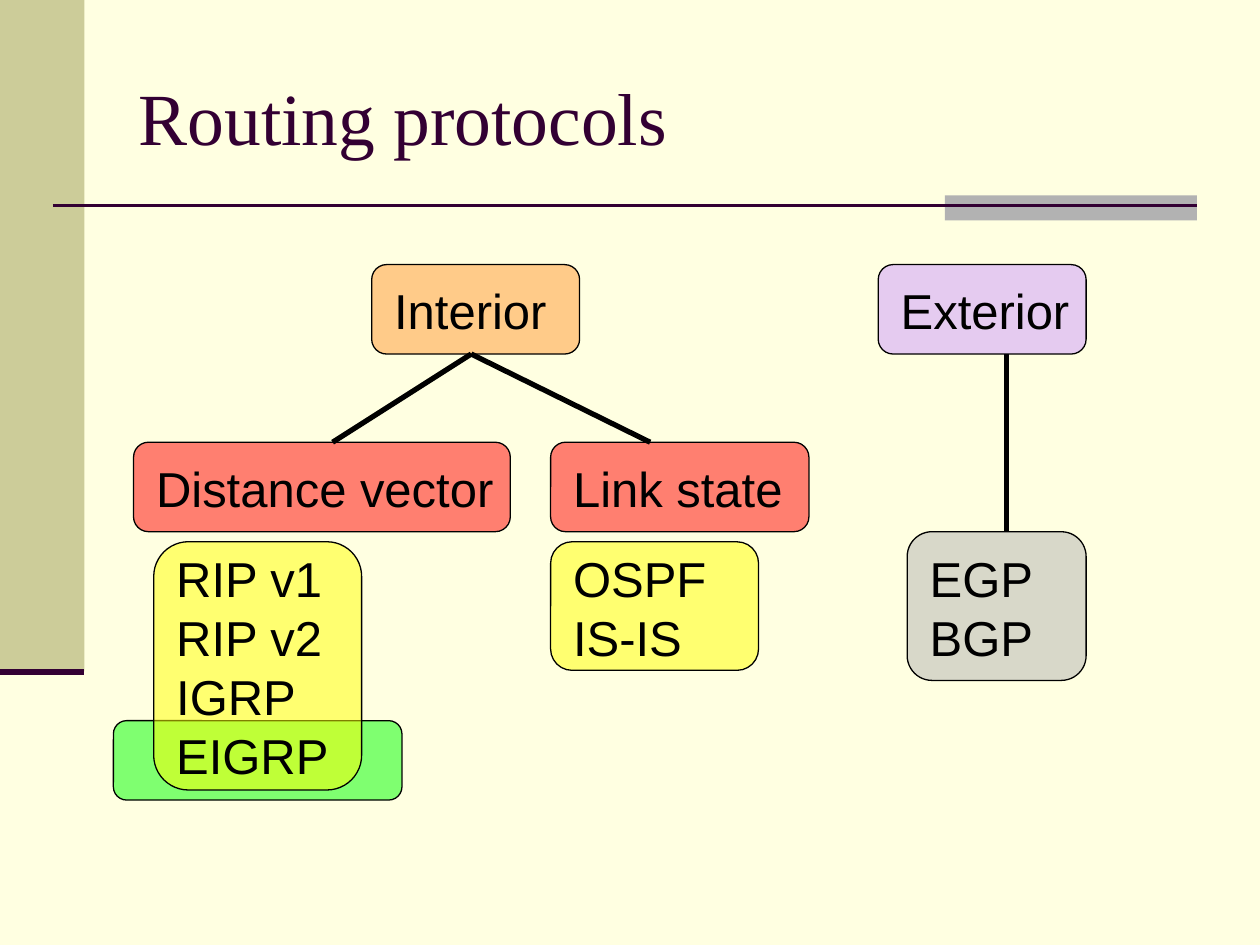
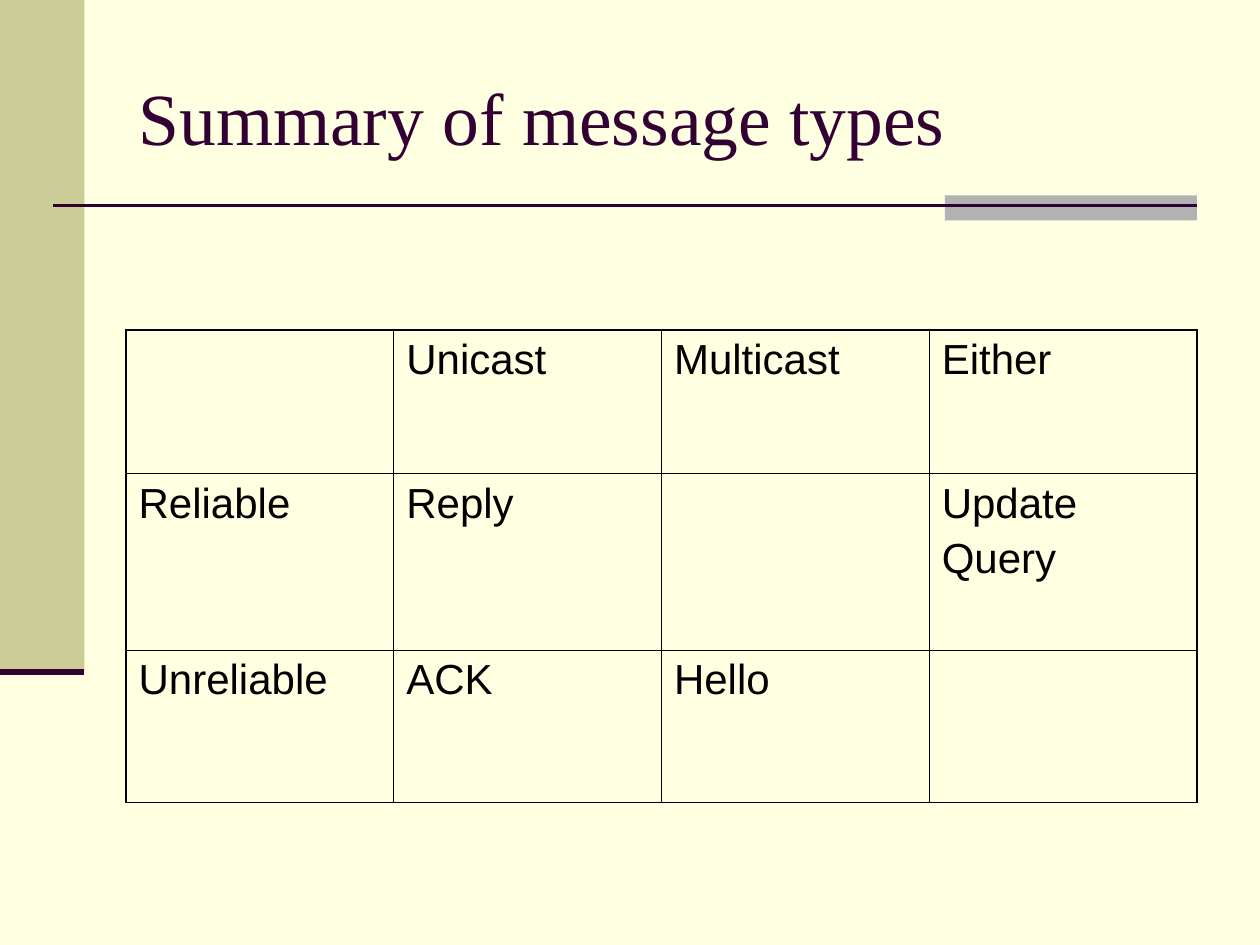
from lxml.etree import SubElement
from pptx import Presentation
from pptx.dml.color import RGBColor
from pptx.enum.shapes import MSO_CONNECTOR, MSO_SHAPE
from pptx.enum.text import MSO_ANCHOR, PP_ALIGN
from pptx.oxml.ns import qn
from pptx.util import Inches, Pt

# Shared style
CREAM, KHAKI, PLUM = "FFFFE1", "CCCC99", "330033"
GREY, BLACK = "B2B2B2", "000000"
RED, YELLOW, GREEN = "FF0000", "FFFF00", "00FF00"
ORANGE, LILAC = "FF9933", "CC99FF"
TITLE_FONT, BODY_FONT = "Times New Roman", "Arial"
TITLE_ONLY = 5

# The slide is a grid of 100 columns by 75 rows
COLUMNS, ROWS = 100, 75
CELL = 0.1


def grid(*counts):
    """Turn counts of grid cells into lengths."""
    return [Inches(count * CELL) for count in counts]


def rgb(code):
    return RGBColor.from_string(code)


class SlideBuilder:
    """Holds the style, the deck and the slide being drawn."""

    def __init__(self):
        self.deck = Presentation()
        self.deck.slide_width, self.deck.slide_height = grid(COLUMNS, ROWS)
        background = self.deck.slide_master.background.fill
        background.solid()
        background.fore_color.rgb = rgb(CREAM)
        self.page = None

    def new_page(self, title):
        layout = self.deck.slide_layouts[TITLE_ONLY]
        self.page = self.deck.slides.add_slide(layout)
        self.shape(MSO_SHAPE.RECTANGLE, 0, 0, 6.7, 53.3, KHAKI)
        self.shape(MSO_SHAPE.RECTANGLE, 75, 15.5, 20, 2, GREY)
        self.line(4.2, 16.3, 95, 16.3, PLUM, 1.5)
        self.line(0, 53.3, 6.7, 53.3, PLUM, 3.5)

        box = self.page.shapes.title
        box.left, box.top, box.width, box.height = grid(10, 3, 85, 12.5)
        box.text_frame.vertical_anchor = MSO_ANCHOR.MIDDLE
        self.text(box.text_frame, [title], 42, TITLE_FONT, PLUM)

    def text(self, frame, lines, size, font=BODY_FONT, color=BLACK, gap=0, pitch=None):
        """Set one paragraph a line, with a gap only between paragraphs."""
        frame.text = "\n".join(lines)
        for index, para in enumerate(frame.paragraphs):
            para.alignment = PP_ALIGN.LEFT
            para.space_before = Pt(gap if index else 0)
            if pitch:
                para.line_spacing = Pt(pitch)
            para.font.name = font
            para.font.size = Pt(size)
            para.font.color.rgb = rgb(color)

    def shape(self, kind, left, top, width, height, color):
        shape = self.page.shapes.add_shape(kind, *grid(left, top, width, height))
        shape.shadow.inherit = False
        shape.fill.solid()
        shape.fill.fore_color.rgb = rgb(color)
        shape.line.fill.background()
        return shape

    def glass(self, left, top, width, height, color):
        """Rounded box with a half transparent fill and a thin outline."""
        shape = self.shape(MSO_SHAPE.ROUNDED_RECTANGLE, left, top, width, height, color)
        for tint in shape.element.spPr.iter(qn("a:srgbClr")):
            SubElement(tint, qn("a:alpha"), val="50000")
        shape.line.color.rgb = rgb(BLACK)
        shape.line.width = Pt(0.75)

    def node(self, lines, left, top, width, height, color, drop=0.8):
        """Glass box with its text set in from the left and dropped from the top."""
        self.glass(left, top, width, height, color)
        area = grid(left + 0.8, top + drop, width, height - drop)
        frame = self.page.shapes.add_textbox(*area).text_frame
        frame.word_wrap = True
        self.text(frame, lines, 28, pitch=33.7)

    def line(self, x1, y1, x2, y2, color=BLACK, weight=3):
        line = self.page.shapes.add_connector(
            MSO_CONNECTOR.STRAIGHT, *grid(x1, y1, x2, y2))
        line.line.color.rgb = rgb(color)
        line.line.width = Pt(weight)
        SubElement(line.element.spPr, qn("a:effectLst"))

    def table(self, rows, left, top, width, heights):
        count = len(rows[0])
        area = grid(left, top, width, sum(heights))
        table = self.page.shapes.add_table(len(rows), count, *area).table
        table.first_row = table.horz_banding = False
        for column in table.columns:
            column.width = grid(width / count)[0]
        for r, (row, height) in enumerate(zip(rows, heights)):
            table.rows[r].height = grid(height)[0]
            for c, words in enumerate(row):
                cell = table.cell(r, c)
                outer = {"L": c == 0, "R": c == count - 1,
                         "T": r == 0, "B": r == len(rows) - 1}
                self.borders(cell, outer)
                cell.fill.background()
                self.text(cell.text_frame, words.split("\n"), 24, gap=5)

    def borders(self, cell, outer):
        """Draw the four sides, heavier on the outside of the table."""
        properties = cell._tc.get_or_add_tcPr()
        for side, is_outer in outer.items():
            weight = Pt(1.08 if is_outer else 0.45)
            border = SubElement(properties, qn(f"a:ln{side}"), w=str(weight))
            fill = SubElement(border, qn("a:solidFill"))
            SubElement(fill, qn("a:srgbClr"), val=BLACK)


def routing_protocols(builder):
    builder.new_page("Routing protocols")
    family, kind, members = 21, 35.1, 43
    height = 7.1

    # Protocols, with the hybrid one underlaid in green
    builder.glass(9, 57.2, 22.9, 6.3, GREEN)
    builder.node(["RIP v1", "RIP v2", "IGRP", "EIGRP"],
                 12.2, members, 16.5, 19.7, YELLOW, drop=0)
    builder.node(["OSPF", "IS-IS"], 43.7, members, 16.5, 10.2, YELLOW, drop=0)
    builder.node(["EGP", "BGP"], 72, 42.2, 14.2, 11.8, GREY)

    # Families and kinds
    builder.node(["Distance vector"], 10.6, kind, 29.9, height, RED)
    builder.node(["Link state"], 43.7, kind, 20.5, height, RED)
    builder.node(["Interior"], 29.5, family, 16.5, height, ORANGE)
    builder.node(["Exterior"], 69.7, family, 16.5, height, LILAC)

    # Branches
    fork = family + height
    for x1, x2, bottom in [(79.9, 79.9, 42.2), (37.4, 26.4, kind), (37.4, 51.6, kind)]:
        builder.line(x1, fork, x2, bottom)


def message_types(builder):
    builder.new_page("Summary of message types")
    rows = [
        ["", "Unicast", "Multicast", "Either"],
        ["Reliable", "Reply", "", "Update\nQuery"],
        ["Unreliable", "ACK", "Hello", ""],
    ]
    builder.table(rows, 10, 26.2, 85, [11.4, 14, 12.1])


def main():
    builder = SlideBuilder()
    routing_protocols(builder)
    message_types(builder)
    builder.deck.save("out.pptx")


if __name__ == "__main__":
    main()
